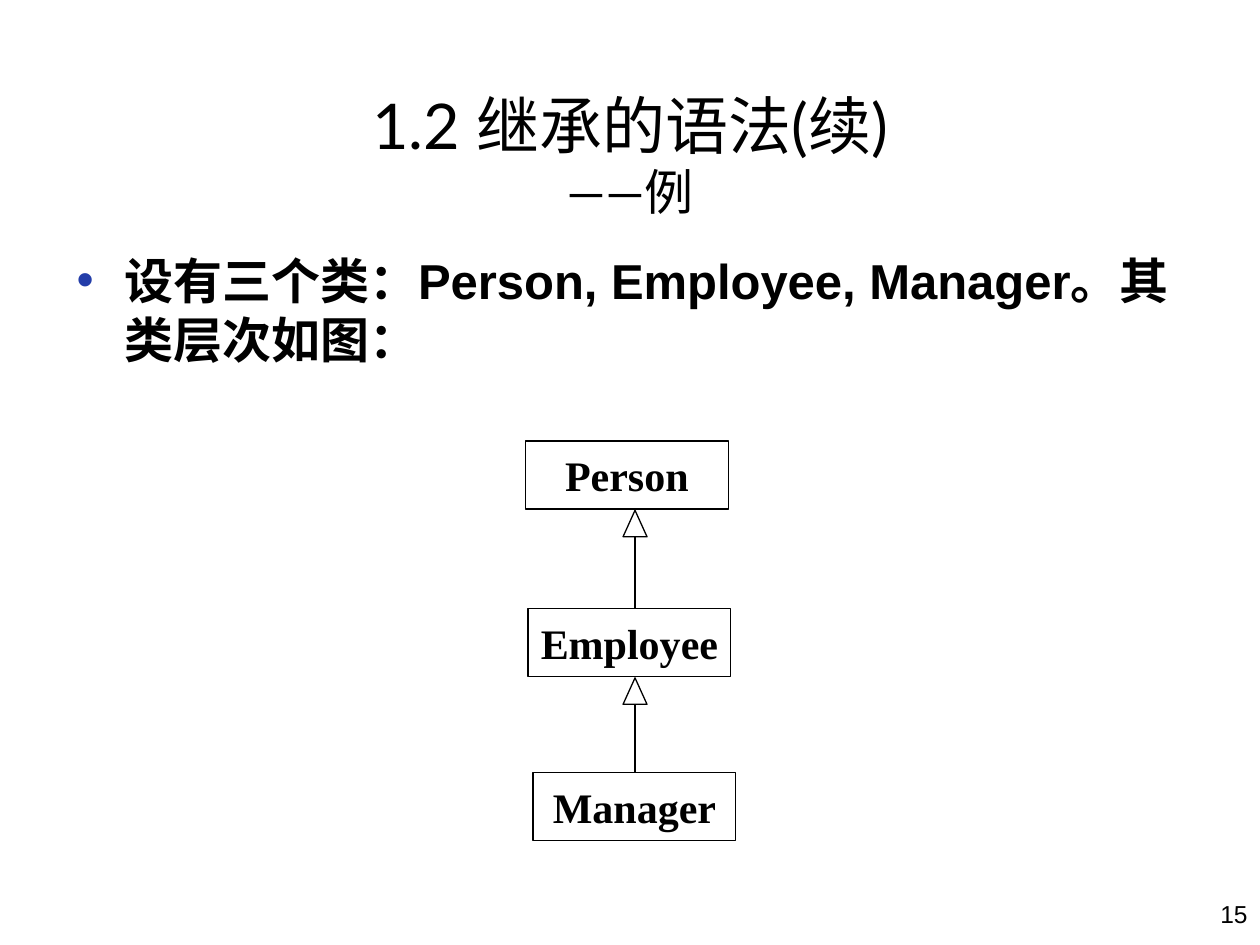
from lxml import etree
from pptx import Presentation
from pptx.dml.color import RGBColor
from pptx.enum.shapes import MSO_CONNECTOR, MSO_SHAPE
from pptx.enum.text import MSO_ANCHOR, MSO_AUTO_SIZE, PP_ALIGN
from pptx.oxml.ns import qn
from pptx.util import Inches, Pt

RECTANGLE = MSO_SHAPE.RECTANGLE
TRIANGLE = MSO_SHAPE.ISOSCELES_TRIANGLE
STRAIGHT = MSO_CONNECTOR.STRAIGHT
MIDDLE, BOTTOM = MSO_ANCHOR.MIDDLE, MSO_ANCHOR.BOTTOM
LEFT, CENTER, RIGHT = PP_ALIGN.LEFT, PP_ALIGN.CENTER, PP_ALIGN.RIGHT
NO_AUTOFIT = MSO_AUTO_SIZE.NONE

COLORS = {"ink": "000000", "bullet": "233DA9"}
BODY_FONT, TITLE_FONT, CLASS_FONT = "Arial", "Lato", "Times New Roman"
CLASS_WIDTH, CLASS_HEIGHT = 1.61, 0.54
ARROW_CENTER, ARROW_WIDTH, ARROW_HEIGHT = 5.04, 0.19, 0.21


class SlideBuilder:
    def __init__(self, slide):
        self.slide = slide
        self.ink = RGBColor.from_string(COLORS["ink"])

    def style_font(self, font, name, size, bold=False):
        font.name, font.size, font.bold = name, Pt(size), bold
        font.color.rgb = self.ink

    def style_line(self, line):
        line.color.rgb = self.ink
        line.width = Pt(0.75)

    def title(self, heading, subheading, left, top, width, height):
        title = self.slide.shapes.title
        title.left, title.top = Inches(left), Inches(top)
        title.width, title.height = Inches(width), Inches(height)
        frame = title.text_frame
        frame.auto_size = NO_AUTOFIT
        frame.vertical_anchor = BOTTOM
        paragraph = frame.paragraphs[0]
        paragraph.alignment = CENTER
        for words, size in ((heading, 36), (subheading, 28)):
            if paragraph.runs:
                paragraph.add_line_break()
            run = paragraph.add_run()
            run.text = words
            self.style_font(run.font, TITLE_FONT, size)

    def text(self, words, left, top, width, height, size, bold=False,
             align=LEFT, wrap=True, anchor=None, bullet=None):
        box = self.slide.shapes.add_textbox(
            Inches(left), Inches(top), Inches(width), Inches(height))
        frame = box.text_frame
        frame.word_wrap = wrap
        frame.vertical_anchor = anchor
        paragraph = frame.paragraphs[0]
        paragraph.text = words
        paragraph.alignment = align
        if bullet:
            self.bullet(paragraph, bullet)
        self.style_font(paragraph.font, BODY_FONT, size, bold)

    def bullet(self, paragraph, mark):
        properties = paragraph._p.get_or_add_pPr()
        properties.set("marL", str(Inches(0.38)))
        properties.set("indent", str(-Inches(0.38)))
        color = etree.SubElement(properties, qn("a:buClr"))
        etree.SubElement(color, qn("a:srgbClr"), val=COLORS["bullet"])
        etree.SubElement(properties, qn("a:buFont"), typeface=BODY_FONT)
        etree.SubElement(properties, qn("a:buChar"), char=mark)

    def outline(self, kind, left, top, width, height):
        shape = self.slide.shapes.add_shape(
            kind, Inches(left), Inches(top), Inches(width), Inches(height))
        shape.shadow.inherit = False
        shape.fill.background()
        self.style_line(shape.line)
        return shape

    def class_box(self, name, left, top):
        frame = self.outline(RECTANGLE, left, top, CLASS_WIDTH, CLASS_HEIGHT).text_frame
        frame.word_wrap = False
        frame.vertical_anchor = MIDDLE
        paragraph = frame.paragraphs[0]
        paragraph.text = name
        paragraph.alignment = CENTER
        self.style_font(paragraph.font, CLASS_FONT, 24, True)

    def inheritance_arrow(self, tip, tail):
        self.outline(TRIANGLE, ARROW_CENTER - ARROW_WIDTH / 2, tip, ARROW_WIDTH, ARROW_HEIGHT)
        stem = self.slide.shapes.add_connector(
            STRAIGHT, Inches(ARROW_CENTER), Inches(tip + ARROW_HEIGHT),
            Inches(ARROW_CENTER), Inches(tail))
        self.style_line(stem.line)
        etree.SubElement(stem._element.spPr, qn("a:effectLst"))


def main():
    deck = Presentation()
    deck.slide_width, deck.slide_height = Inches(10), Inches(7.5)
    builder = SlideBuilder(deck.slides.add_slide(deck.slide_layouts[5]))

    builder.title("1.2 继承的语法(续)", "——例", 0.5, 0.63, 9, 1.17)
    builder.text("设有三个类：Person, Employee, Manager。其类层次如图：",
                 0.51, 1.94, 9, 1.55, 28, bold=True, bullet="•")
    builder.text("15", 7.92, 7, 2.08, 0.5, 14, align=RIGHT, wrap=False, anchor=MIDDLE)

    hierarchy = [("Person", 4.17, 3.5), ("Employee", 4.19, 4.83), ("Manager", 4.23, 6.13)]
    for name, left, top in hierarchy:
        builder.class_box(name, left, top)
    for (_, _, parent_top), (_, _, child_top) in zip(hierarchy, hierarchy[1:]):
        builder.inheritance_arrow(parent_top + CLASS_HEIGHT + 0.01, child_top)

    deck.save("out.pptx")


if __name__ == "__main__":
    main()
